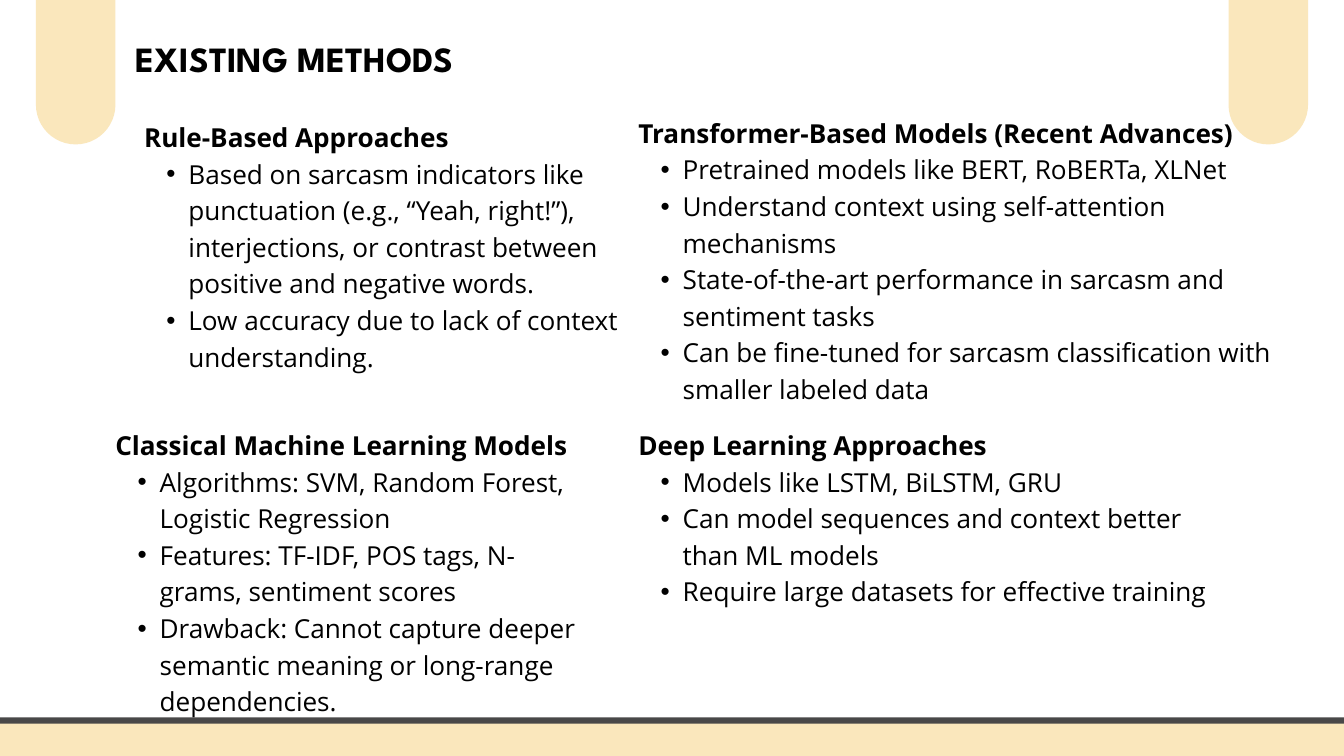
from lxml import etree
from pptx import Presentation
from pptx import util as u
from pptx.dml.color import RGBColor
from pptx.enum import shapes, text
from pptx.oxml.ns import qn

Pt = u.Pt

THEME = {
    "cream": RGBColor.from_string("FAE7BC"),
    "slate": RGBColor.from_string("494848"),
    "ink": RGBColor.from_string("000000"),
    "title": {"name": "League Spartan", "size": Pt(38), "bold": True},
    "heading": {"name": "Open Sans", "size": Pt(28), "bold": True},
    "body": {"name": "Open Sans", "size": Pt(28), "bold": False},
    "leading": 1.4,
    "indent": 47.5,
    "hanging": 23.75,
    "border": 6.75,
}
SLIDE_W, SLIDE_H = 1440, 810

TITLE = ("EXISTING METHODS", (-20, 32.5, 672, 51))
SECTIONS = [
    ("Rule-Based Approaches", (154.4, 124.5, 523.5, 311), [
        "Based on sarcasm indicators like punctuation (e.g., “Yeah, right!”), "
        "interjections, or contrast between positive and negative words.",
        "Low accuracy due to lack of context understanding.",
    ]),
    ("Classical Machine Learning Models", (123.6, 454.5, 499.5, 350), [
        "Algorithms: SVM, Random Forest, Logistic Regression",
        "Features: TF-IDF, POS tags, N-grams, sentiment scores",
        "Drawback: Cannot capture deeper semantic meaning or long-range dependencies.",
    ]),
    ("Deep Learning Approaches", (684, 454.5, 638.5, 272), [
        "Models like LSTM, BiLSTM, GRU",
        "Can model sequences and context better than ML models",
        "Require large datasets for effective training",
    ]),
    ("Transformer-Based Models (Recent Advances)", (684, 120, 695, 350), [
        "Pretrained models like BERT, RoBERTa, XLNet",
        "Understand context using self-attention mechanisms",
        "State-of-the-art performance in sarcasm and sentiment tasks",
        "Can be fine-tuned for sarcasm classification with smaller labeled data",
    ]),
]

PILL_W, PILL_H, PILL_TOP, PILL_MARGIN = 85.2, 232.4, -77.7, 38.5
BAR_TOP, BAR_H, BAR_BLEED = 772, 64.6, 42


def add_rounded(slide, box, rounding, border=None):
    sp = slide.shapes.add_shape(
        shapes.MSO_SHAPE.ROUNDED_RECTANGLE, *map(Pt, box))
    sp.adjustments[0] = rounding
    sp.shadow.inherit = False
    sp.fill.solid()
    sp.fill.fore_color.rgb = THEME["cream"]
    if border:
        sp.line.color.rgb = THEME["slate"]
        sp.line.width = Pt(border)
    else:
        sp.line.fill.background()


def add_text_frame(slide, box):
    tf = slide.shapes.add_textbox(*map(Pt, box)).text_frame
    for side in ("left", "top", "right", "bottom"):
        setattr(tf, f"margin_{side}", 0)
    tf.word_wrap = True
    return tf


def write(p, words, style, align=text.PP_ALIGN.LEFT):
    p.alignment = align
    p.line_spacing = Pt(THEME[style]["size"].pt * THEME["leading"])
    r = p.add_run()
    r.text = words
    for key, value in THEME[style].items():
        setattr(r.font, key, value)
    r.font.color.rgb = THEME["ink"]


def add_bullet(p):
    p.level = 1
    pPr = p._p.get_or_add_pPr()
    pPr.set("marL", str(Pt(THEME["indent"])))
    pPr.set("indent", str(-Pt(THEME["hanging"])))
    etree.SubElement(pPr, qn("a:buFont")).set("typeface", "Arial")
    etree.SubElement(pPr, qn("a:buChar")).set("char", "•")


def add_section(slide, heading, box, points):
    tf = add_text_frame(slide, box)
    write(tf.paragraphs[0], heading, "heading")
    for point in points:
        p = tf.add_paragraph()
        write(p, point, "body")
        add_bullet(p)


def main():
    prs = Presentation()
    prs.slide_width, prs.slide_height = Pt(SLIDE_W), Pt(SLIDE_H)
    slide = prs.slides.add_slide(prs.slide_layouts[6])

    title, box = TITLE
    write(add_text_frame(slide, box).paragraphs[0], title, "title",
          text.PP_ALIGN.CENTER)

    for left in (PILL_MARGIN, SLIDE_W - PILL_MARGIN - PILL_W):
        add_rounded(slide, (left, PILL_TOP, PILL_W, PILL_H), 0.5)
    add_rounded(slide, (-BAR_BLEED, BAR_TOP, SLIDE_W + 2 * BAR_BLEED, BAR_H),
                0.1, THEME["border"])

    for heading, box, points in SECTIONS:
        add_section(slide, heading, box, points)
    prs.save("out.pptx")


if __name__ == "__main__":
    main()
